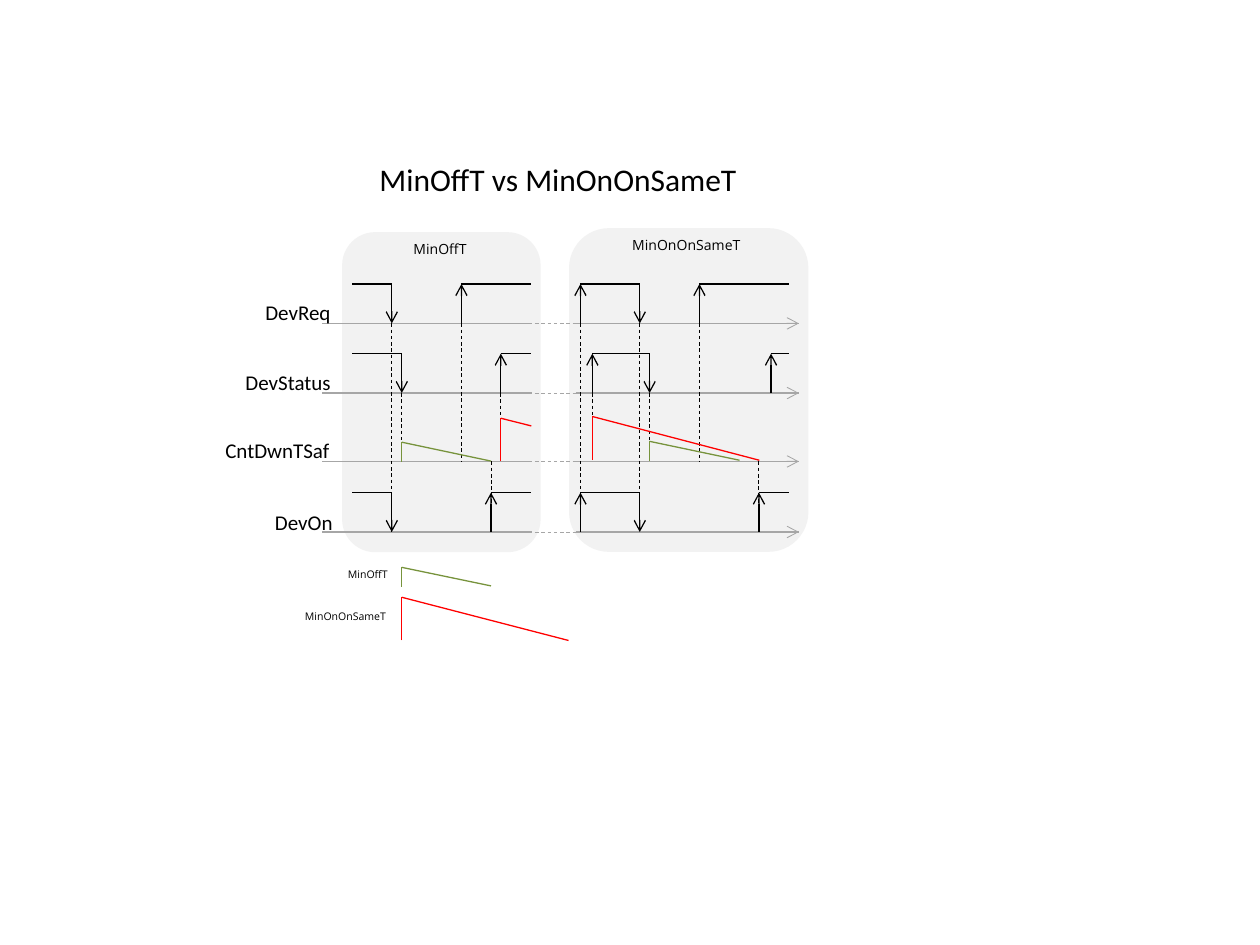
from lxml import etree
from pptx import Presentation
from pptx.dml.color import RGBColor
from pptx.enum.dml import MSO_LINE
from pptx.enum.shapes import MSO_CONNECTOR, MSO_SHAPE
from pptx.enum.text import MSO_AUTO_SIZE
from pptx.oxml.ns import qn
from pptx.util import Pt

BLACK = RGBColor(0x00, 0x00, 0x00)
GRAY = RGBColor(0xA6, 0xA6, 0xA6)
PALE = RGBColor(0xF2, 0xF2, 0xF2)
GREEN = RGBColor(0x77, 0x93, 0x3C)
RED = RGBColor(0xFF, 0x00, 0x00)
DASH = MSO_LINE.DASH
STRAIGHT = MSO_CONNECTOR.STRAIGHT
ROUND = MSO_SHAPE.ROUNDED_RECTANGLE
FIT = MSO_AUTO_SIZE.SHAPE_TO_FIT_TEXT

prs = Presentation()
prs.slide_width, prs.slide_height = Pt(720), Pt(540)
slide = prs.slides.add_slide(prs.slide_layouts[6])
shapes = slide.shapes


def draw(x1, y1, x2, y2, color=BLACK, dash=False, arrow=False):
    line = shapes.add_connector(STRAIGHT, Pt(x1), Pt(y1), Pt(x2), Pt(y2))
    line.line.color.rgb = color
    line.line.width = Pt(0.5 if dash else 0.75)
    if dash:
        line.line.dash_style = DASH
    if arrow:
        tail = etree.SubElement(line.line._get_or_add_ln(), qn("a:tailEnd"))
        tail.set("type", "arrow")
    etree.SubElement(line._element.spPr, qn("a:effectLst"))


def write(text, left, top, width, height, size, font):
    box = shapes.add_textbox(Pt(left), Pt(top), Pt(width), Pt(height))
    frame = box.text_frame
    frame.word_wrap = False
    frame.auto_size = FIT
    para = frame.paragraphs[0]
    para.text = text
    para.font.size = Pt(size)
    para.font.name = font
    para.font.color.rgb = BLACK


for left, top, width, height in [(325.2, 130.4, 136.8, 185), (195.5, 132.7, 113.4, 182.9)]:
    panel = shapes.add_shape(ROUND, Pt(left), Pt(top), Pt(width), Pt(height))
    panel.shadow.inherit = False
    panel.fill.solid()
    panel.fill.fore_color.rgb = PALE
    panel.line.fill.background()

REQ, STAT, COUNT, DEV = 184.8, 224.6, 263.7, 304
for base in (REQ, STAT, COUNT, DEV):
    draw(184.3, base, 456.5, base, GRAY, dash=True, arrow=True)
    draw(184.3, base, 303.8, base, GRAY)
    draw(329, base, 456.5, base, GRAY)

for text, left, top, width, height, size, font in [
    ("MinOffT vs MinOnOnSameT", 209.8, 87.8, 221, 28.8, 18, "Calibri"),
    ("DevReq", 144.5, 167.8, 54, 21.6, 12, "Calibri"),
    ("DevStatus", 133.2, 207.4, 66, 21.6, 12, "Calibri"),
    ("CntDwnTSaf", 121.7, 246.7, 77, 21.6, 12, "Calibri"),
    ("DevOn", 150, 287.7, 49, 21.6, 12, "Calibri"),
    ("MinOffT", 229.2, 133.9, 46.1, 17.3, 8, "Open Sans"),
    ("MinOnOnSameT", 354.2, 131.8, 79.9, 17.3, 8, "Open Sans"),
    ("MinOffT", 191.8, 321.1, 38.2, 14.4, 6, "Open Sans"),
    ("MinOnOnSameT", 167.2, 344.9, 63.4, 14.4, 6, "Open Sans"),
]:
    write(text, left, top, width, height, size, font)

START, STOP, END = 201.4, 303.4, 450.9
pulses = [
    (REQ, [(START, 223.9), (263.7, STOP), (331.7, 365.6), (399.7, END)]),
    (STAT, [(START, 229.6), (286.2, STOP), (338.5, 371.2), (440.6, END)]),
    (DEV, [(START, 223.9), (280.6, STOP), (331.7, 365.6), (433.7, END)]),
]
for base, spans in pulses:
    high = base - 22.5
    for rise, fall in spans:
        draw(rise, high, fall, high)
        if rise != START:
            draw(rise, base, rise, high, arrow=True)
        if fall not in (STOP, END):
            draw(fall, high, fall, base, arrow=True)

for x, top, foot in [
    (223.9, REQ, DEV), (263.7, REQ, COUNT), (331.7, REQ, DEV),
    (365.6, REQ, 281.5), (399.7, REQ, COUNT),
    (229.6, STAT, COUNT), (286.2, STAT, COUNT),
    (338.5, STAT, COUNT), (371.2, STAT, COUNT),
    (280.6, COUNT, DEV), (433.7, COUNT, DEV),
]:
    draw(x, top, x, foot, dash=True)

for x, top, foot, right, end, color in [
    (229.6, 252.7, 264, 280.6, 263.5, GREEN),
    (286.2, 239, 263.5, 303.6, 243.4, RED),
    (371.2, 252.2, 263.5, 422.6, 263, GREEN),
    (338.5, 238, 263, 433.9, 263, RED),
    (229.6, 324.2, 335.3, 280.6, 334.8, GREEN),
    (229.6, 341.3, 366, 324.9, 366, RED),
]:
    draw(x, foot, x, top, color)
    draw(x, top, right, end, color)

prs.save("out.pptx")
